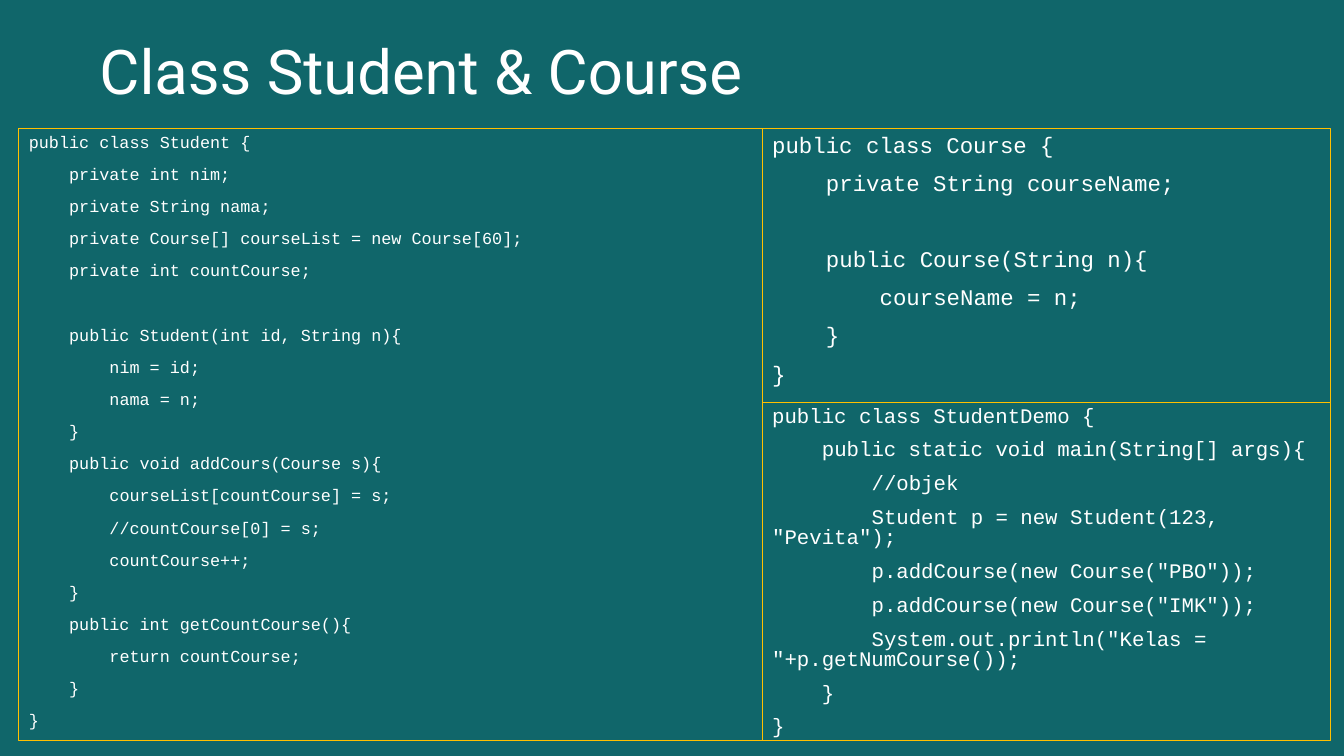
from pptx import Presentation
from pptx.dml.color import RGBColor
from pptx.enum import shapes, text
from pptx.util import Pt

TEAL = RGBColor(0x10, 0x66, 0x6A)
GOLD = RGBColor(0xFF, 0xC0, 0x00)
WHITE = RGBColor(0xFF, 0xFF, 0xFF)
CODE_FONT = "Courier New"
TITLE = "Class Student & Course"

STUDENT = [
    (0, "public class Student {"),
    (1, "private int nim;"),
    (1, "private String nama;"),
    (1, "private Course[] courseList = new Course[60];"),
    (1, "private int countCourse;"),
    None,
    (1, "public Student(int id, String n){"),
    (2, "nim = id;"),
    (2, "nama = n;"),
    (1, "}"),
    (1, "public void addCours(Course s){"),
    (2, "courseList[countCourse] = s;"),
    (2, "//countCourse[0] = s;"),
    (2, "countCourse++;"),
    (1, "}"),
    (1, "public int getCountCourse(){"),
    (2, "return countCourse;"),
    (1, "}"),
    (0, "}"),
]
COURSE = [
    (0, "public class Course {"),
    (1, "private String courseName;"),
    None,
    (1, "public Course(String n){"),
    (2, "courseName = n;"),
    (1, "}"),
    (0, "}"),
]
DEMO = [
    (0, "public class StudentDemo {"),
    (1, "public static void main(String[] args){"),
    (2, "//objek"),
    (2, 'Student p = new Student(123, "Pevita");'),
    (2, 'p.addCourse(new Course("PBO"));'),
    (2, 'p.addCourse(new Course("IMK"));'),
    (2, 'System.out.println("Kelas = "+p.getNumCourse());'),
    (1, "}"),
    (0, "}"),
]

LEFT, MIDDLE, RIGHT = 13.5, 544.5, 950.5
TOP, SPLIT, BOTTOM = 92, 287.25, 529
PANELS = [
    (STUDENT, LEFT, TOP, MIDDLE, BOTTOM, 12, 0.9),
    (COURSE, MIDDLE, TOP, RIGHT, SPLIT, 16, 0.9),
    (DEMO, MIDDLE, SPLIT, RIGHT, BOTTOM, 14.8, 0.8),
]
GAP = 10
CHAR_WIDTH = 0.6
LINE_HEIGHT = 1.2
TAB = 4


def write(p, words, font, size, spacing, before=0, indent=0):
    p.alignment = text.PP_ALIGN.LEFT
    p.line_spacing = spacing
    p.space_before = Pt(before)
    if indent:
        pPr = p._p.get_or_add_pPr()
        pPr.set("marL", "0")
        pPr.set("indent", str(int(Pt(indent))))
    r = p.add_run()
    r.text = words
    r.font.name = font
    r.font.size = Pt(size)
    r.font.color.rgb = WHITE


def add_code(slide, lines, left, top, right, bottom, size, spacing):
    sp = slide.shapes.add_shape(shapes.MSO_SHAPE.RECTANGLE, Pt(left), Pt(top),
                                Pt(right - left), Pt(bottom - top))
    sp.shadow.inherit = False
    sp.fill.background()
    sp.line.color.rgb = GOLD
    sp.line.width = Pt(0.75)
    tf = sp.text_frame
    tf.word_wrap = True
    tf.vertical_anchor = text.MSO_ANCHOR.TOP
    before = GAP
    p = tf.paragraphs[0]
    for line in lines:
        if line is None:
            before += GAP + size * LINE_HEIGHT * spacing
            continue
        level, words = line
        if p.runs:
            p = tf.add_paragraph()
        write(p, words, CODE_FONT, size, spacing, round(before, 1),
              level * TAB * CHAR_WIDTH * size)
        before = GAP


def main():
    prs = Presentation()
    prs.slide_width, prs.slide_height = Pt(960), Pt(540)
    s = prs.slides.add_slide(prs.slide_layouts[6])
    s.background.fill.solid()
    s.background.fill.fore_color.rgb = TEAL

    tf = s.shapes.add_textbox(Pt(64), Pt(0.75), Pt(828), Pt(104.5)).text_frame
    tf.word_wrap = True
    tf.vertical_anchor = text.MSO_ANCHOR.MIDDLE
    write(tf.paragraphs[0], TITLE, "Roboto", 44, 0.9)

    for panel in PANELS:
        add_code(s, *panel)
    prs.save("out.pptx")


if __name__ == "__main__":
    main()
